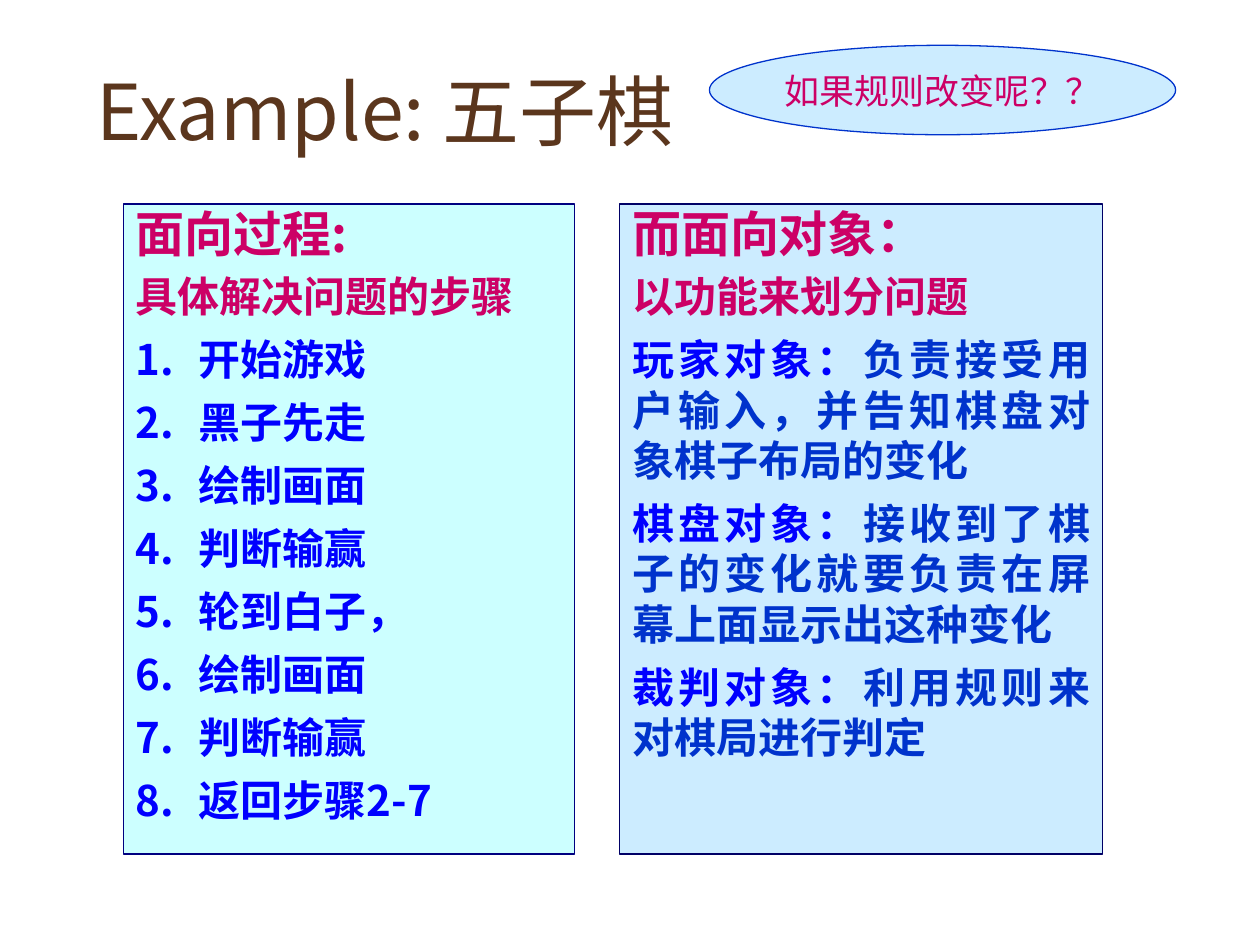
import pptx
import pptx.dml.color
import pptx.enum.shapes
import pptx.enum.text
import pptx.oxml.ns
import pptx.util
from lxml import etree

Pt = pptx.util.Pt
RGBColor = pptx.dml.color.RGBColor
Shape = pptx.enum.shapes.MSO_SHAPE
Align = pptx.enum.text.PP_ALIGN
Anchor = pptx.enum.text.MSO_ANCHOR
qn = pptx.oxml.ns.qn

CJK_FONT = "Noto Sans CJK SC"
BROWN = RGBColor(0x5B, 0x36, 0x1D)
MAGENTA = RGBColor(0xCC, 0x00, 0x66)
BRIGHT_BLUE = RGBColor(0x00, 0x00, 0xFF)
BLUE = RGBColor(0x00, 0x33, 0xCC)
NAVY = RGBColor(0x00, 0x00, 0x80)
DARK_NAVY = RGBColor(0x00, 0x00, 0x66)
PALE_CYAN = RGBColor(0xCC, 0xFF, 0xFF)
PALE_BLUE = RGBColor(0xCC, 0xEC, 0xFF)

# Content
TITLE = "Example: 五子棋"
QUESTION = "如果规则改变呢？？"
PROCEDURAL_HEADS = ["面向过程:", "具体解决问题的步骤"]
STEPS = ["开始游戏", "黑子先走", "绘制画面", "判断输赢",
         "轮到白子，", "绘制画面", "判断输赢", "返回步骤2-7"]
OBJECT_HEADS = ["而面向对象：", "以功能来划分问题"]
OBJECTS = [
    ("玩家对象：", "负责接受用户输入，并告知棋盘对象棋子布局的变化"),
    ("棋盘对象：", "接收到了棋子的变化就要负责在屏幕上面显示出这种变化"),
    ("裁判对象：", "利用规则来对棋局进行判定"),
]

HEAD_SIZES = (28, 24)
BODY_SIZE = 24
PANEL_TOP, PANEL_HEIGHT = 116.6, 371.5
HANGING = 36


def add_run(paragraph, text, size, color, bold=False, font=CJK_FONT):
    run = paragraph.add_run()
    run.text = text
    run.font.size = Pt(size)
    run.font.bold = bold
    run.font.color.rgb = color
    run.font.name = font
    if font == CJK_FONT:
        east_asian = etree.SubElement(run.font._element, qn("a:ea"))
        east_asian.set("typeface", font)


def add_filled_shape(slide, kind, left, top, width, height, fill, line):
    shape = slide.shapes.add_shape(kind, Pt(left), Pt(top), Pt(width), Pt(height))
    shape.shadow.inherit = False
    shape.fill.solid()
    shape.fill.fore_color.rgb = fill
    shape.line.color.rgb = line
    shape.line.width = Pt(0.75)
    return shape


def add_panel(slide, left, width, fill, line, heads, items, numbered):
    """items: one list of (text, colour) pairs per paragraph."""
    panel = add_filled_shape(slide, Shape.RECTANGLE, left, PANEL_TOP,
                             width, PANEL_HEIGHT, fill, line)
    frame = panel.text_frame
    frame.word_wrap = True
    frame.vertical_anchor = Anchor.TOP
    head_rows = [(size, 0.9, [(text, MAGENTA)])
                 for text, size in zip(heads, HEAD_SIZES)]
    body_rows = [(BODY_SIZE, None, runs) for runs in items]
    for index, (size, spacing, runs) in enumerate(head_rows + body_rows):
        paragraph = frame.add_paragraph() if index else frame.paragraphs[0]
        paragraph.alignment = Align.JUSTIFY
        paragraph.space_before = Pt(0.3 * size)
        paragraph.line_spacing = spacing
        if numbered:
            properties = paragraph._p.get_or_add_pPr()
            properties.set("marL", str(Pt(HANGING)))
            properties.set("indent", str(-Pt(HANGING)))
            if index >= len(heads):
                number_font = etree.SubElement(properties, qn("a:buFont"))
                number_font.set("typeface", CJK_FONT)
                numbering = etree.SubElement(properties, qn("a:buAutoNum"))
                numbering.set("type", "arabicPeriod")
        for text, color in runs:
            add_run(paragraph, text, size, color, bold=True)


def main():
    presentation = pptx.Presentation()
    presentation.slide_width, presentation.slide_height = Pt(720), Pt(540)
    slide = presentation.slides.add_slide(presentation.slide_layouts[6])

    # Two approaches side by side
    add_panel(slide, 70.6, 257.8, PALE_CYAN, NAVY, PROCEDURAL_HEADS,
              [[(step, BRIGHT_BLUE)] for step in STEPS], numbered=True)
    add_panel(slide, 354.2, 275.8, PALE_BLUE, DARK_NAVY, OBJECT_HEADS,
              [[(name, BRIGHT_BLUE), (duty, BLUE)] for name, duty in OBJECTS],
              numbered=False)

    # Title
    title = slide.shapes.add_textbox(Pt(48.2), Pt(37.4), Pt(347.8), Pt(51.1))
    title.text_frame.word_wrap = True
    title.text_frame.vertical_anchor = Anchor.MIDDLE
    add_run(title.text_frame.paragraphs[0], TITLE, 44, BROWN)

    # Question bubble
    bubble = add_filled_shape(slide, Shape.OVAL, 405.4, 25.9, 266.4, 51.1,
                              PALE_BLUE, BLUE)
    bubble.text_frame.word_wrap = False
    bubble.text_frame.vertical_anchor = Anchor.MIDDLE
    paragraph = bubble.text_frame.paragraphs[0]
    paragraph.alignment = Align.CENTER
    add_run(paragraph, QUESTION, 20, MAGENTA, font="Arial")

    presentation.save("out.pptx")


if __name__ == "__main__":
    main()
